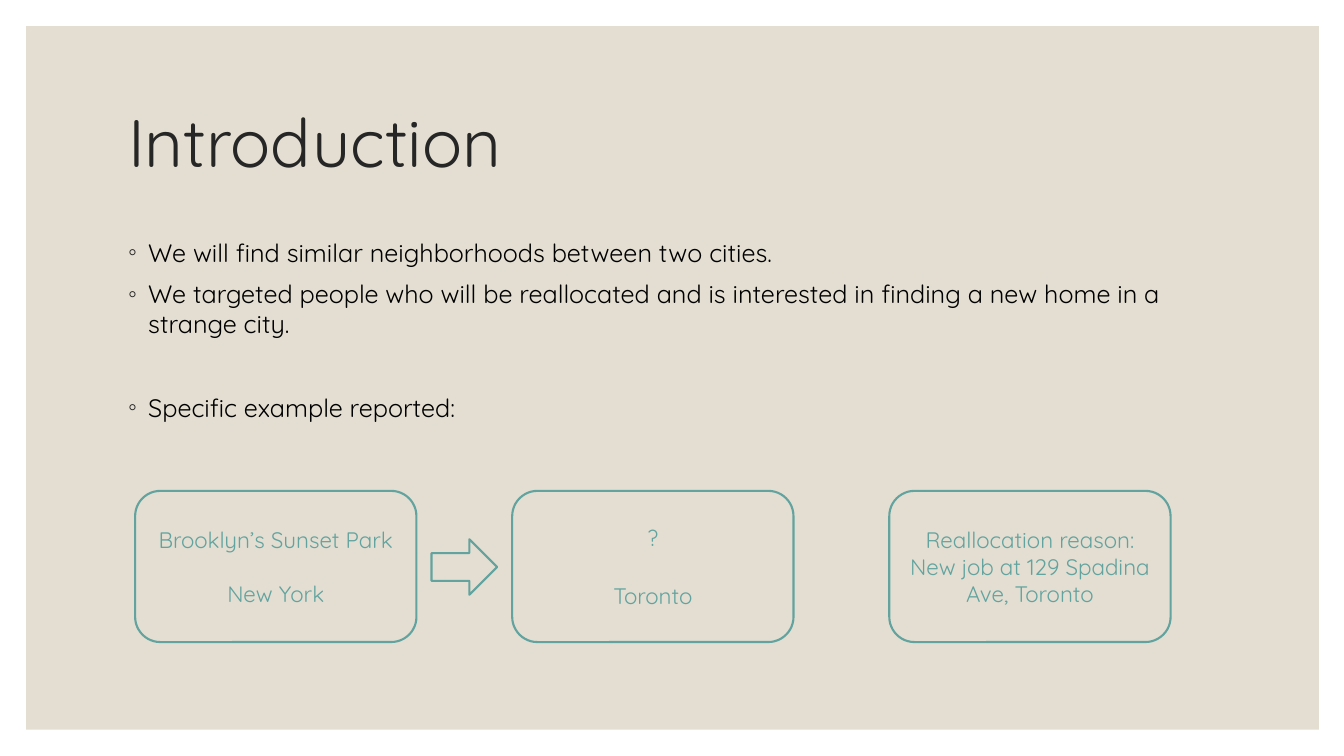
"""Build the Introduction slide on matching neighborhoods between two cities."""
from lxml.etree import SubElement
from pptx import Presentation
from pptx.dml.color import RGBColor
from pptx.enum.shapes import MSO_SHAPE
from pptx.enum.text import MSO_ANCHOR, MSO_AUTO_SIZE, PP_ALIGN
from pptx.oxml.ns import qn
from pptx.util import Inches, Pt

SAND = RGBColor(0xE3, 0xDE, 0xD1)
CHARCOAL = RGBColor(0x26, 0x26, 0x26)
BLACK = RGBColor(0, 0, 0)
TEAL = RGBColor(0x62, 0xA3, 0x9F)


class SlideBuilder:
    """Holds the style and the current slide."""

    font_name = "Quicksand"

    def __init__(self, presentation):
        self.slide = presentation.slides.add_slide(presentation.slide_layouts[1])

    def place(self, shape, left, top, width, height):
        shape.left, shape.top = Inches(left), Inches(top)
        shape.width, shape.height = Inches(width), Inches(height)

    def fill_frame(self, frame, lines, size, color, align):
        frame.word_wrap = True
        frame.auto_size = MSO_AUTO_SIZE.NONE
        for index, (text, space_before) in enumerate(lines):
            paragraph = frame.add_paragraph() if index else frame.paragraphs[0]
            paragraph.text = text
            paragraph.alignment = align
            paragraph.space_before = Pt(space_before)
            paragraph.font.name = self.font_name
            paragraph.font.size = Pt(size)
            paragraph.font.color.rgb = color

    def title(self, text, *bounds):
        title = self.slide.shapes.title
        self.place(title, *bounds)
        title.text_frame.vertical_anchor = MSO_ANCHOR.MIDDLE
        self.fill_frame(title.text_frame, [(text, 0)], 48, CHARCOAL, PP_ALIGN.LEFT)
        title.text_frame.paragraphs[0].line_spacing = 0.9

    def bullets(self, lines, *bounds):
        body = self.slide.placeholders[1]
        self.place(body, *bounds)
        self.fill_frame(body.text_frame, lines, 18, BLACK, PP_ALIGN.LEFT)
        for paragraph in body.text_frame.paragraphs:
            properties = paragraph._p.get_or_add_pPr()
            properties.set("marL", str(Inches(0.2)))
            properties.set("indent", str(Inches(-0.2)))
            for default_run in properties.findall(qn("a:defRPr")):
                properties.remove(default_run)
                color = SubElement(properties, qn("a:buClr"))
                SubElement(color, qn("a:srgbClr"), val=str(CHARCOAL))
                SubElement(properties, qn("a:buChar"), char="◦")
                properties.append(default_run)

    def panel(self, *bounds):
        panel = self.slide.shapes.add_shape(MSO_SHAPE.RECTANGLE, *map(Inches, bounds))
        panel.shadow.inherit = False
        panel.fill.solid()
        panel.fill.fore_color.rgb = SAND
        panel.line.fill.background()
        self.slide.shapes.title.element.addprevious(panel.element)

    def outline(self, preset, *bounds):
        shape = self.slide.shapes.add_shape(preset, *map(Inches, bounds))
        shape.shadow.inherit = False
        shape.fill.background()
        shape.line.color.rgb = TEAL
        shape.line.width = Pt(1.5)
        return shape

    def card(self, lines, *bounds):
        card = self.outline(MSO_SHAPE.ROUNDED_RECTANGLE, *bounds)
        card.text_frame.vertical_anchor = MSO_ANCHOR.MIDDLE
        self.fill_frame(card.text_frame, lines, 16, TEAL, PP_ALIGN.CENTER)


presentation = Presentation()
presentation.slide_width = Inches(13.33)
presentation.slide_height = Inches(7.5)

builder = SlideBuilder(presentation)
builder.panel(0.26, 0.26, 12.82, 6.98)
builder.title("Introduction", 1.17, 0.7, 11, 1.5)
builder.bullets([
    ("We will find similar neighborhoods between two cities.", 0),
    ("We targeted people who will be reallocated and is interested in "
     "finding a new home in a strange city.", 8),
    ("Specific example reported:", 38),
], 1.17, 2.3, 11, 4.3)

cards = [
    [("Brooklyn’s Sunset Park", 0), ("New York", 19)],
    [("?", 0), ("Toronto", 22)],
    [("Reallocation reason:", 0), ("New job at 129 Spadina Ave, Toronto", 0)],
]
CARD_LEFT, CARD_PITCH = 1.34, 3.74
for column, lines in enumerate(cards):
    builder.card(lines, CARD_LEFT + column * CARD_PITCH, 4.87, 2.79, 1.5)
builder.outline(MSO_SHAPE.RIGHT_ARROW, 4.28, 5.35, 0.65, 0.55)

presentation.save("out.pptx")
